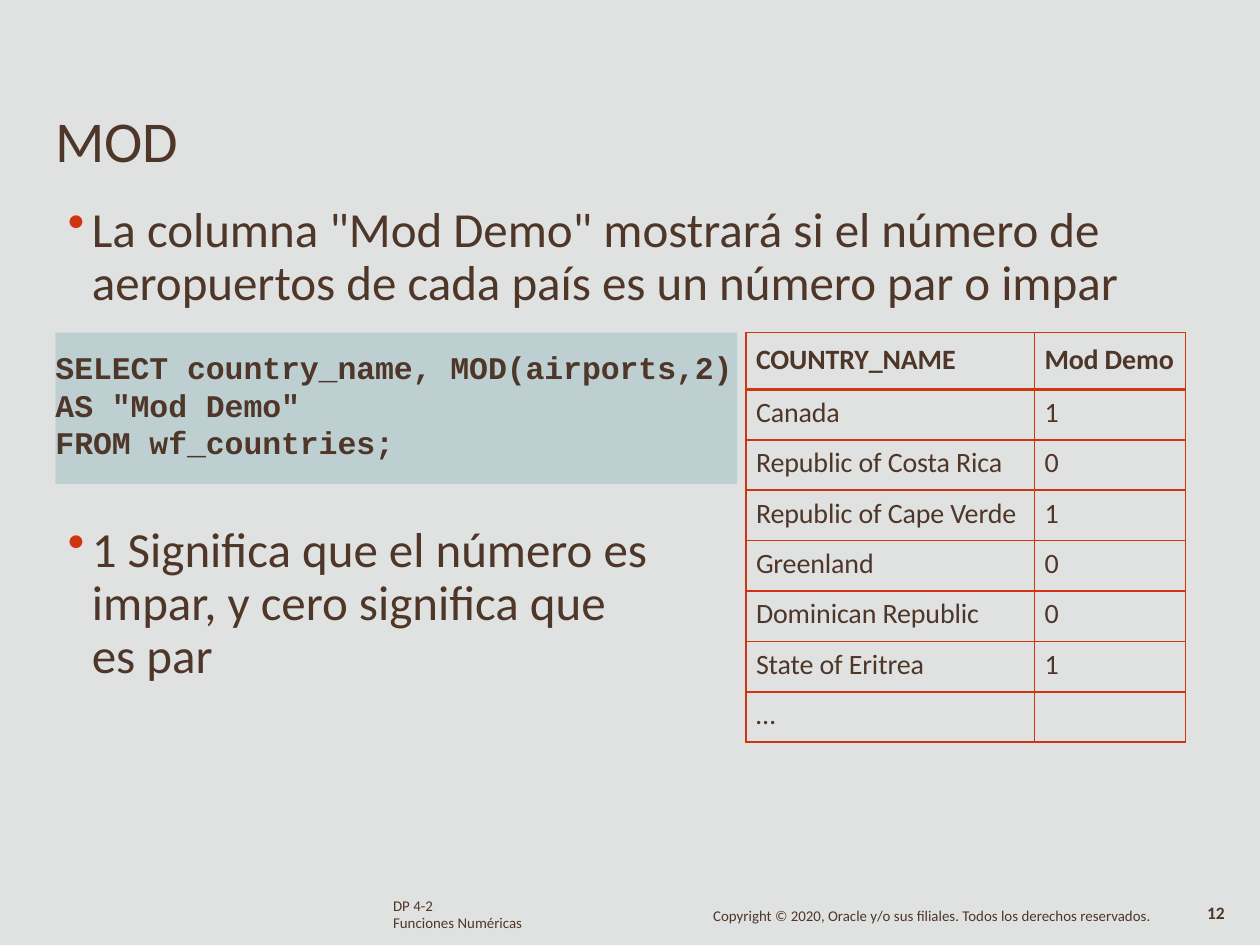
import pptx
import pptx.util
import pptx.dml.color
import pptx.enum.text
import pptx.enum.shapes
import pptx.oxml
import pptx.oxml.ns
import lxml.etree
from pptx.util import Inches

BROWN, RED, GREY, TEAL = "4E3629", "D1350F", "E0E2E1", "9DBEC4"
ROWS = [
    ("COUNTRY_NAME", "Mod Demo"),
    ("Canada", "1"),
    ("Republic of Costa Rica", "0"),
    ("Republic of Cape Verde", "1"),
    ("Greenland", "0"),
    ("Dominican Republic", "0"),
    ("State of Eritrea", "1"),
    ("…", ""),
]


def colour(value):
    return pptx.dml.color.RGBColor.from_string(value)


def add_xml(parent, tag, **attributes):
    child = lxml.etree.SubElement(parent, pptx.oxml.ns.qn(tag))
    for name, value in attributes.items():
        child.set(name, str(value))
    return child


def prepare_frame(frame, top=0):
    frame.word_wrap = True
    frame.auto_size = pptx.enum.text.MSO_AUTO_SIZE.NONE
    frame.vertical_anchor = pptx.enum.text.MSO_ANCHOR.TOP
    frame.margin_left = frame.margin_right = frame.margin_bottom = 0
    frame.margin_top = Inches(top)


def format_paragraph(paragraph, size, bold=False, line=None, name="Calibri", spacing=0):
    paragraph.alignment = pptx.enum.text.PP_ALIGN.LEFT
    if line:
        paragraph.line_spacing = pptx.util.Pt(line)
    font = paragraph.font
    font.name, font.size, font.bold = name, pptx.util.Pt(size), bold
    font.color.rgb = colour(BROWN)
    if spacing:
        for run in paragraph.runs:
            run.font._element.set("spc", str(spacing))


def add_text(slide, box, lines, size, line, bold=False, top=0):
    frame = slide.shapes.add_textbox(*map(Inches, box)).text_frame
    prepare_frame(frame, top)
    frame.text = "\n".join(lines)
    for paragraph in frame.paragraphs:
        format_paragraph(paragraph, size, bold, line)
    return frame


def add_title(slide, box, text):
    title = slide.shapes.title
    title.left, title.top, title.width, title.height = map(Inches, box)
    prepare_frame(title.text_frame, 0.01)
    title.text_frame.text = text
    format_paragraph(title.text_frame.paragraphs[0], 33, spacing=-20)


def add_bullet(slide, box, text):
    frame = add_text(slide, box, [], 28, 30.3, top=0.07)
    paragraph = frame.paragraphs[0]
    paragraph.text = text
    properties = paragraph._p.get_or_add_pPr()
    properties.set("marL", str(Inches(0.2)))
    properties.set("indent", str(Inches(-0.19)))
    # Rebuild the properties so that the bullet comes before the font
    for child in list(properties):
        properties.remove(child)
    bullet_colour = add_xml(properties, "a:buClr")
    add_xml(bullet_colour, "a:srgbClr", val=RED)
    add_xml(properties, "a:buChar", char="•")
    format_paragraph(paragraph, 28, line=30.3)


def add_code(slide, box, code):
    shape = slide.shapes.add_shape(
        pptx.enum.shapes.MSO_SHAPE.RECTANGLE, *map(Inches, box))
    shape.shadow.inherit = False
    shape.line.fill.background()
    shape.fill.solid()
    shape.fill.fore_color.rgb = colour(TEAL)
    fill_colour = shape._element.spPr.find(".//" + pptx.oxml.ns.qn("a:srgbClr"))
    add_xml(fill_colour, "a:alpha", val=50000)
    prepare_frame(shape.text_frame, 0.12)
    shape.text_frame.text = code
    for paragraph in shape.text_frame.paragraphs:
        format_paragraph(paragraph, 18, True, name="Courier New", spacing=-5)


def set_borders(cell, top, bottom):
    properties = cell._tc.get_or_add_tcPr()
    widths = {"a:lnL": 1, "a:lnR": 1, "a:lnT": top, "a:lnB": bottom}
    for tag, width in widths.items():
        line = add_xml(properties, tag, w=pptx.util.Pt(width))
        add_xml(add_xml(line, "a:solidFill"), "a:srgbClr", val=RED)


def add_country_table(slide, box, rows, widths):
    table = slide.shapes.add_table(len(rows), len(widths), *map(Inches, box)).table
    table.horz_banding = False
    for column, width in zip(table.columns, widths):
        column.width = Inches(width)
    for row_index, values in enumerate(rows):
        header = row_index == 0
        table.rows[row_index].height = Inches(0.45 if header else 0.4)
        for column_index, value in enumerate(values):
            cell = table.cell(row_index, column_index)
            set_borders(cell, 2.25 if row_index == 1 else 1, 2.25 if header else 1)
            cell.fill.background()
            cell.margin_left = Inches(0.08)
            cell.margin_right = cell.margin_bottom = 0
            cell.margin_top = Inches(0.08 if header else 0.05)
            cell.text = value
            format_paragraph(cell.text_frame.paragraphs[0], 16, header, spacing=-5)


def add_footer(slide):
    add_text(slide, (3.12, 7.12, 1.2, 0.27), ["DP 4-2", "Funciones Numéricas"], 8.5, 9.7)
    add_text(slide, (5.66, 7.21, 3.7, 0.15),
             ["Copyright © 2020, Oracle y/o sus filiales. Todos los derechos reservados."],
             8.5, 9.1)
    add_text(slide, (9.58, 7.18, 0.2, 0.17), ["12"], 10, 10.4, bold=True)


def main():
    presentation = pptx.Presentation()
    presentation.slide_width, presentation.slide_height = Inches(10), Inches(7.5)
    slide = presentation.slides.add_slide(presentation.slide_layouts[5])
    slide.background.fill.solid()
    slide.background.fill.fore_color.rgb = colour(GREY)

    add_title(slide, (0.44, 0.82, 4, 0.58), "MOD")
    add_footer(slide)
    add_bullet(slide, (0.53, 1.55, 8.37, 0.91),
               'La columna "Mod Demo" mostrará si el número de '
               "aeropuertos de cada país es un número par o impar")
    add_bullet(slide, (0.53, 4.09, 4.63, 1.33),
               "1 Significa que el número es impar, y cero significa que es par")
    add_country_table(slide, (5.92, 2.64, 3.49, 3.25), ROWS, (2.29, 1.2))
    add_code(slide, (0.44, 2.64, 5.41, 1.2),
             'SELECT country_name, MOD(airports,2)\vAS "Mod Demo"\nFROM wf_countries;')
    presentation.save("out.pptx")


if __name__ == "__main__":
    main()
